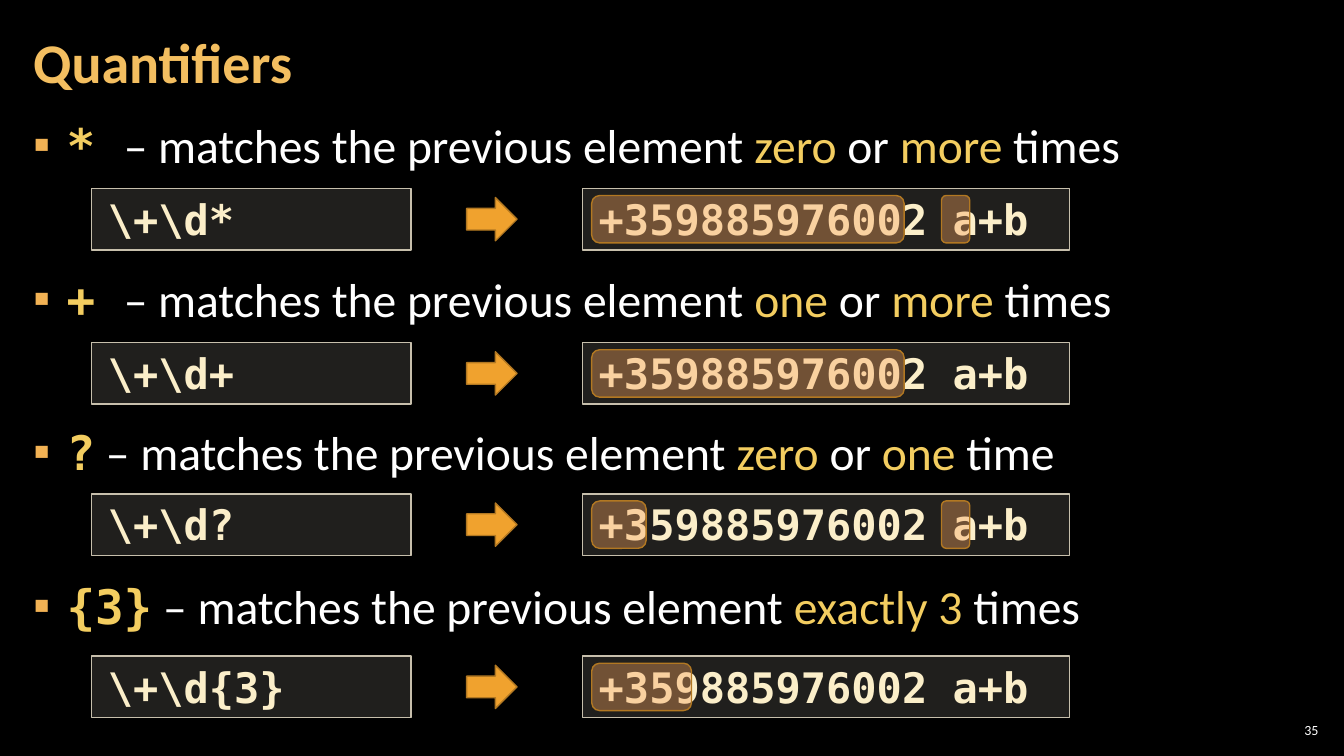
from lxml import etree
from pptx import Presentation
from pptx.dml.color import RGBColor
from pptx.enum.shapes import MSO_SHAPE
from pptx.enum.text import MSO_ANCHOR, PP_ALIGN
from pptx.oxml.ns import qn
from pptx.util import Inches, Pt

COLORS = {
    "background": "000000", "title": "F3BE60", "text": "FFFFFF", "accent": "F3CD60",
    "bullet": "F2B254", "code": "FBEEC9", "panel": "D9D5C7", "panel_edge": "C7BFAC",
    "match": "F6A35E", "arrow": "F0A22E", "edge": "B27822",
}
SANS, MONO = "Calibri", "DejaVu Sans Mono"
UNIT = 0.1
COLUMNS, ROWS = 133.33, 75
SUBJECT = "+359885976002 a+b"
PHONE_COL, LETTER_COL = 58.7, 93.4
LETTER = (LETTER_COL, 2.8)

QUANTIFIERS = [
    (18.7, "\\+\\d*", [(PHONE_COL, 31), LETTER],
     ["* ", "– matches the previous element ", "zero ", "or", " more ", "times"]),
    (34, "\\+\\d+", [(PHONE_COL, 31)],
     ["+ ", "– matches the previous element ", "one ", "or", " more ", "times"]),
    (49, "\\+\\d?", [(PHONE_COL, 5.4), LETTER],
     ["?", " – matches the previous element ", "zero ", "or", " one ", "time"]),
    (65.1, "\\+\\d{3}", [(PHONE_COL, 9.9)],
     ["{3}", " – matches the previous element ", "exactly 3 ", "times"]),
]


def rgb(name):
    return RGBColor.from_string(COLORS[name])


def cells(*counts):
    return [Inches(count * UNIT) for count in counts]


def set_frame(frame, side, edge, anchor):
    frame.word_wrap = True
    frame.vertical_anchor = anchor
    frame.margin_left = frame.margin_right = Inches(side)
    frame.margin_top = frame.margin_bottom = Inches(edge)
    return frame


def add_text(slide, area, side, anchor):
    return set_frame(slide.shapes.add_textbox(*cells(*area)).text_frame, side, 0.04, anchor)


def add_run(paragraph, words, size, color, font=SANS, bold=False):
    run = paragraph.add_run()
    run.text = words
    run.font.size = Pt(size)
    run.font.name = font
    run.font.bold = bold
    run.font.color.rgb = rgb(color)


def add_figure(slide, kind, area, fill, edge, opacity=100):
    figure = slide.shapes.add_shape(kind, *cells(*area))
    figure.shadow.inherit = False
    figure.fill.solid()
    figure.fill.fore_color.rgb = rgb(fill)
    figure.line.color.rgb = rgb(edge)
    figure.line.width = Pt(1)
    if opacity < 100:
        tint = figure.fill._xPr.find(qn("a:solidFill"))[0]
        etree.SubElement(tint, qn("a:alpha")).set("val", str(opacity * 1000))
    return figure


def add_code(slide, area, code):
    panel = add_figure(slide, MSO_SHAPE.RECTANGLE, area, "panel", "panel_edge", 15)
    line = set_frame(panel.text_frame, 0.16, 0.05, MSO_ANCHOR.TOP).paragraphs[0]
    line.alignment = PP_ALIGN.LEFT
    add_run(line, code, 30, "code", MONO, True)


def add_bullet(paragraph):
    props = paragraph._p.get_or_add_pPr()
    props.set("marL", str(Inches(0.33)))
    props.set("indent", str(-Inches(0.33)))
    tint = etree.SubElement(props, qn("a:buClr"))
    etree.SubElement(tint, qn("a:srgbClr")).set("val", COLORS["bullet"])
    etree.SubElement(props, qn("a:buFont")).set("typeface", SANS)
    etree.SubElement(props, qn("a:buChar")).set("char", "▪")


def add_rules(slide):
    frame = add_text(slide, (2.1, 10.8, 129.1, 60.9), 0.12, MSO_ANCHOR.TOP)
    for index, (_, _, _, parts) in enumerate(QUANTIFIERS):
        rule = frame.paragraphs[0] if index == 0 else frame.add_paragraph()
        add_bullet(rule)
        rule.line_spacing = 1.05
        if index:
            rule.space_before = Pt(67)
        symbol, *phrases = parts
        add_run(rule, symbol, 34, "accent", MONO, True)
        for place, phrase in enumerate(phrases):
            add_run(rule, phrase, 34, "accent" if place % 2 else "text")


def add_example(slide, row, pattern, matches):
    add_code(slide, (57.8, row, 48.3, 6.1), SUBJECT)
    add_code(slide, (9.1, row, 31.7, 6.1), pattern)
    add_figure(slide, MSO_SHAPE.RIGHT_ARROW, (46.3, row + 0.9, 5, 4.3), "arrow", "edge")
    for col, width in matches:
        add_figure(slide, MSO_SHAPE.ROUNDED_RECTANGLE, (col, row + 0.7, width, 4.7),
                   "match", "edge", 38)


def main():
    deck = Presentation()
    deck.slide_width, deck.slide_height = cells(COLUMNS, ROWS)
    slide = deck.slides.add_slide(deck.slide_layouts[6])
    slide.background.fill.solid()
    slide.background.fill.fore_color.rgb = rgb("background")

    number = add_text(slide, (126.5, 71.4, 4.7, 2.1), 0.04, MSO_ANCHOR.MIDDLE).paragraphs[0]
    number.alignment = PP_ALIGN.RIGHT
    add_run(number, "35", 10, "text")

    add_rules(slide)

    title = add_text(slide, (2.1, 0.4, 104.7, 12.1), 0.12, MSO_ANCHOR.MIDDLE).paragraphs[0]
    title.line_spacing = 0.9
    add_run(title, "Quantifiers", 40, "title", bold=True)

    for row, pattern, matches, _ in QUANTIFIERS:
        add_example(slide, row, pattern, matches)
    deck.save("out.pptx")


if __name__ == "__main__":
    main()
